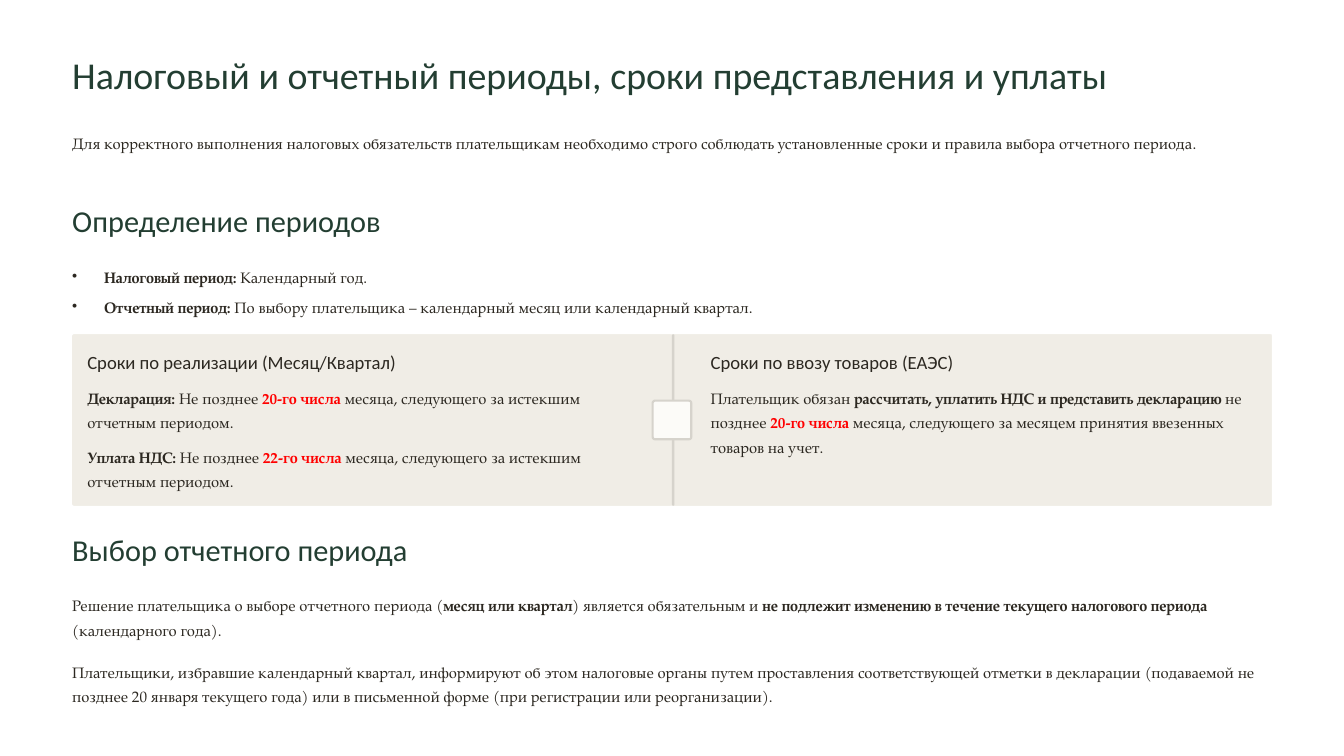
from dataclasses import dataclass
from typing import NamedTuple, Optional

from lxml.etree import SubElement
from pptx import Presentation
from pptx.dml.color import RGBColor
from pptx.enum.shapes import MSO_SHAPE as Shape
from pptx.enum.text import MSO_ANCHOR as Anchor, MSO_AUTO_SIZE as AutoSize, PP_ALIGN as Align
from pptx.oxml.ns import qn
from pptx.util import Inches, Pt

GREEN = RGBColor(0x23, 0x3E, 0x32)
INK = RGBColor(0x2C, 0x28, 0x21)
RED = RGBColor(0xFF, 0x00, 0x00)
SAND = RGBColor(0xF0, 0xED, 0xE6)
STONE = RGBColor(0xD6, 0xD3, 0xCC)
IVORY = RGBColor(0xFC, 0xFB, 0xF8)

# The grid has 16 columns and 9 rows.
COLUMNS, ROWS = 16, 9
MARGIN = 0.86
CONTENT = COLUMNS - 2 * MARGIN
HALF = CONTENT / 2
CENTER = COLUMNS / 2
PANEL_TOP, PANEL_HEIGHT = 3.98, 2.04
DIVIDER, MARKER = 0.03, 0.46
LEFT_TEXT, RIGHT_TEXT, PANEL_TEXT = 1.04, 8.46, 6.5
LINE, BULLET_INDENT = 0.293, 0.38

deck = Presentation()
deck.slide_width, deck.slide_height = Inches(16), Inches(9)
slide = deck.slides.add_slide(deck.slide_layouts[5])


class Style(NamedTuple):
    font: str
    size: float
    line: float
    color: RGBColor


TITLE = Style("Calibri", 32.5, 41, GREEN)
HEADING = Style("Calibri", 26, 32.5, GREEN)
SUBHEADING = Style("Calibri", 16, 20.5, INK)
BODY = Style("TeX Gyre Pagella", 13, 21, INK)


class Span(NamedTuple):
    text: str
    bold: bool = False
    color: Optional[RGBColor] = None


class Place(NamedTuple):
    left: float
    top: float
    width: float
    height: float


@dataclass
class TextBlock:
    place: Place
    style: Style
    spans: list[Span]
    wrap: bool = True
    bullet: bool = False


@dataclass
class Panel:
    place: Place
    fill: RGBColor
    corner: Optional[float] = None
    line: Optional[RGBColor] = None


def grid(place: Place) -> list[int]:
    column, row = deck.slide_width / COLUMNS, deck.slide_height / ROWS
    return [round(length * unit) for length, unit in zip(place, (column, row, column, row))]


def bold(text: str) -> Span:
    return Span(text, True)


def red(text: str) -> Span:
    return Span(text, True, RED)


def add_bullet(para) -> None:
    properties = para._p.get_or_add_pPr()
    properties.set("marL", str(Inches(BULLET_INDENT)))
    properties.set("indent", str(-Inches(BULLET_INDENT)))
    SubElement(properties, qn("a:buChar")).set("char", "•")


def write(box, block: TextBlock) -> None:
    """Place a text box or the title placeholder and fill it with styled spans."""
    box.left, box.top, box.width, box.height = grid(block.place)
    frame = box.text_frame
    layout = {"margin_left": 0, "margin_top": 0, "margin_right": 0, "margin_bottom": 0,
              "word_wrap": block.wrap, "auto_size": AutoSize.NONE,
              "vertical_anchor": Anchor.TOP}
    for name, value in layout.items():
        setattr(frame, name, value)
    para = frame.paragraphs[0]
    if block.bullet:
        add_bullet(para)
    para.alignment = Align.LEFT
    para.line_spacing = Pt(block.style.line)
    for span in block.spans:
        run = para.add_run()
        run.text = span.text
        formats = {"name": block.style.font, "size": Pt(block.style.size), "bold": span.bold}
        for name, value in formats.items():
            setattr(run.font, name, value)
        run.font.color.rgb = span.color or block.style.color


def draw_panel(panel: Panel) -> None:
    kind = Shape.RECTANGLE if panel.corner is None else Shape.ROUNDED_RECTANGLE
    shape = slide.shapes.add_shape(kind, *grid(panel.place))
    shape.shadow.inherit = False
    if panel.corner is not None:
        shape.adjustments[0] = panel.corner
    shape.fill.solid()
    shape.fill.fore_color.rgb = panel.fill
    if panel.line is None:
        shape.line.fill.background()
    else:
        shape.line.color.rgb = panel.line
        shape.line.width = Pt(1.8)


def heading(top: float, width: float, text: str) -> TextBlock:
    return TextBlock(Place(MARGIN, top, width, 0.46), HEADING, [Span(text)], wrap=False)


def subheading(left: float, width: float, text: str) -> TextBlock:
    return TextBlock(Place(left, 4.16, width, LINE), SUBHEADING, [Span(text)], wrap=False)


def body(top: float, *spans: Span, lines: int = 2) -> TextBlock:
    return TextBlock(Place(MARGIN, top, CONTENT, lines * LINE), BODY, list(spans))


def bullet(top: float, term: str, meaning: str) -> TextBlock:
    return TextBlock(Place(MARGIN, top, CONTENT, LINE), BODY, [bold(term), Span(meaning)],
                     wrap=False, bullet=True)


def panel_text(left: float, top: float, lines: int, *spans: Span) -> TextBlock:
    return TextBlock(Place(left, top, PANEL_TEXT, lines * LINE), BODY, list(spans))


title = TextBlock(Place(MARGIN, 0.59, 13.93, 0.57), TITLE,
                  [Span("Налоговый и отчетный периоды, сроки представления и уплаты")], wrap=False)

panels = [
    Panel(Place(MARGIN, PANEL_TOP, CONTENT, PANEL_HEIGHT), SAND, 0.013),
    Panel(Place(MARGIN, PANEL_TOP, HALF, PANEL_HEIGHT), SAND, 0.013),
    Panel(Place(CENTER, PANEL_TOP, HALF, PANEL_HEIGHT), SAND),
    Panel(Place(CENTER, PANEL_TOP, DIVIDER, PANEL_HEIGHT), STONE, 0.5),
    Panel(Place(CENTER - MARKER / 2, PANEL_TOP + (PANEL_HEIGHT - MARKER) / 2, MARKER, MARKER),
          IVORY, 0.06, STONE),
]

blocks = [
    body(1.53, Span("Для корректного выполнения налоговых обязательств плательщикам необходимо строго "
                    "соблюдать установленные сроки и правила выбора отчетного периода.")),
    heading(2.39, 3.99, "Определение периодов"),
    bullet(3.12, "Налоговый период:", " Календарный год."),
    bullet(3.48, "Отчетный период:",
           " По выбору плательщика – календарный месяц или календарный квартал."),
    subheading(LEFT_TEXT, 4.2, "Сроки по реализации (Месяц/Квартал)"),
    panel_text(LEFT_TEXT, 4.56, 2, bold("Декларация:"), Span(" Не позднее "), red("20-го числа "),
               Span("месяца, следующего за истекшим отчетным периодом.")),
    panel_text(LEFT_TEXT, 5.26, 2, bold("Уплата НДС:"), Span(" Не позднее "), red("22-го числа"),
               Span(" месяца, следующего за истекшим отчетным периодом.")),
    subheading(RIGHT_TEXT, 3.31, "Сроки по ввозу товаров (ЕАЭС)"),
    panel_text(RIGHT_TEXT, 4.56, 3, Span("Плательщик обязан "),
               bold("рассчитать, уплатить НДС и представить декларацию"),
               Span(" не позднее "), red("20-го числа "),
               Span("месяца, следующего за месяцем принятия ввезенных товаров на учет.")),
    heading(6.3, 4.42, "Выбор отчетного периода"),
    body(7.03, Span("Решение плательщика о выборе отчетного периода ("), bold("месяц или квартал"),
         Span(") является обязательным и "),
         bold("не подлежит изменению в течение текущего налогового периода"),
         Span(" (календарного года).")),
    body(7.82, Span("Плательщики, избравшие календарный квартал, информируют об этом налоговые органы "
                    "путем проставления соответствующей отметки в декларации (подаваемой не позднее "
                    "20 января текущего года) или в письменной форме (при регистрации или "
                    "реорганизации).")),
]

write(slide.shapes.title, title)
for panel in panels:
    draw_panel(panel)
for block in blocks:
    write(slide.shapes.add_textbox(*grid(block.place)), block)

deck.save("out.pptx")
